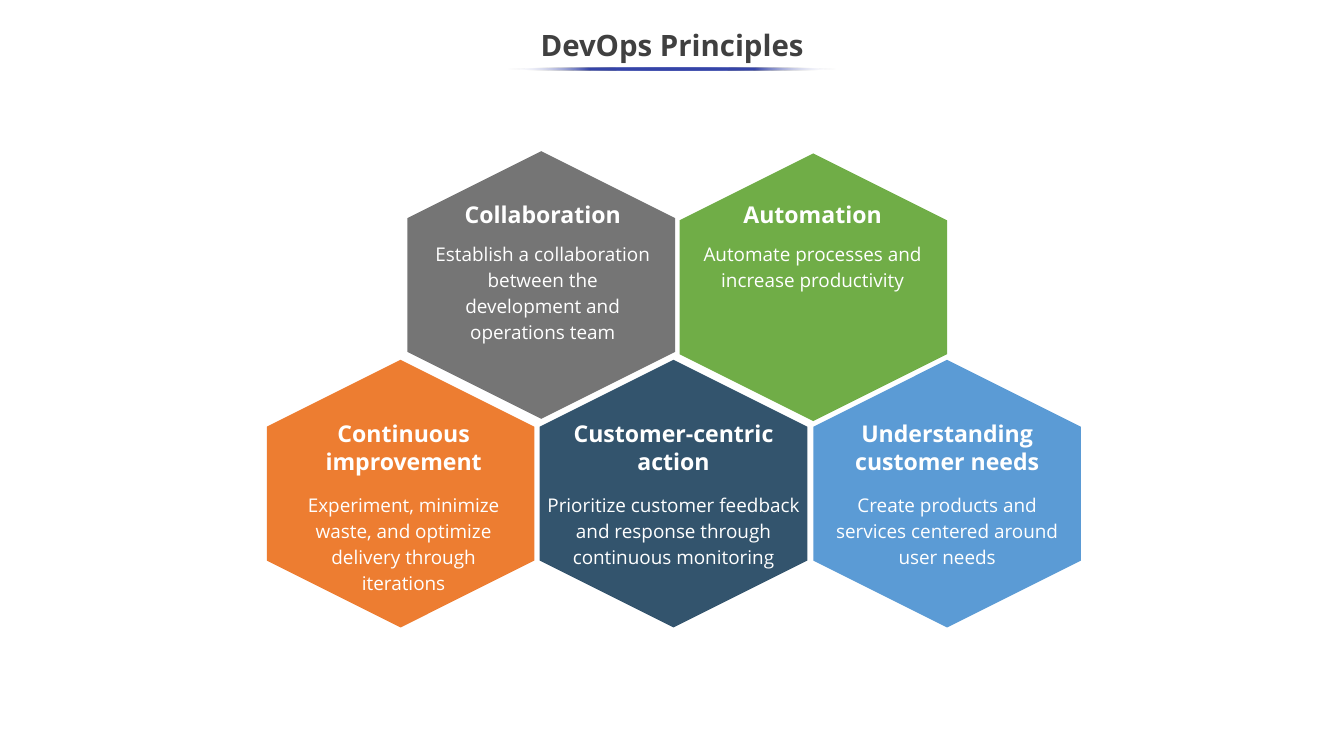
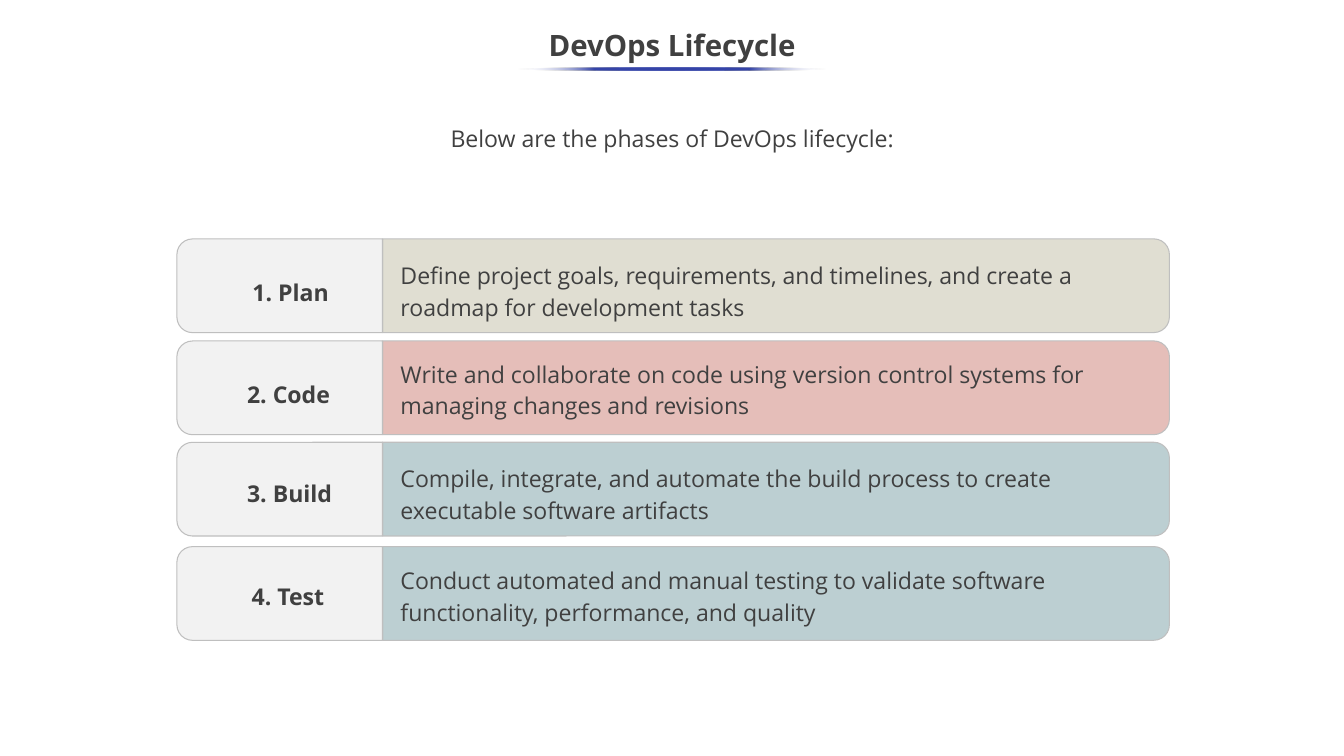
from dataclasses import dataclass

from lxml import etree
from pptx import Presentation
from pptx.dml.color import RGBColor
from pptx.enum.shapes import MSO_SHAPE
from pptx.enum.text import MSO_ANCHOR, MSO_AUTO_SIZE, PP_ALIGN
from pptx.oxml.ns import qn
from pptx.shapes.base import BaseShape
from pptx.slide import Slide
from pptx.util import Emu, Inches, Pt

LEFT, CENTER = PP_ALIGN.LEFT, PP_ALIGN.CENTER
TOP, MIDDLE = MSO_ANCHOR.TOP, MSO_ANCHOR.MIDDLE
ELLIPSE, ROUNDED_END = MSO_SHAPE.OVAL, MSO_SHAPE.ROUND_2_SAME_RECTANGLE
GROW, FIXED = MSO_AUTO_SIZE.SHAPE_TO_FIT_TEXT, MSO_AUTO_SIZE.NONE

# The grid has 100 rows; its columns are as wide as its rows are high.
SLIDE_WIDTH, SLIDE_HEIGHT = Inches(17.78), Inches(10)
CELL = SLIDE_HEIGHT / 100
COLUMNS = SLIDE_WIDTH / CELL


@dataclass(frozen=True)
class Theme:
    font: str = "Open Sans"
    title_size: int = 28
    heading_size: int = 22
    body_size: int = 18
    ink: str = "404040"
    white: str = "FFFFFF"
    accent: str = "3645A9"
    label_fill: str = "F2F2F2"
    border: str = "BFBFBF"
    gray: str = "757575"
    green: str = "70AD47"
    orange: str = "ED7D31"
    navy: str = "33546D"
    blue: str = "5B9BD5"
    sand: str = "E0DED2"
    rose: str = "E5BEB9"
    mist: str = "BCCFD2"


THEME = Theme()


@dataclass(frozen=True)
class Area:
    """A rectangle in grid cells."""
    left: float
    top: float
    width: float
    height: float


@dataclass(frozen=True)
class TextStyle:
    size: int
    color: str
    bold: bool = False
    align: PP_ALIGN = CENTER
    anchor: MSO_ANCHOR = TOP
    spacing: float = 1.0
    wrap: bool = True
    sizing: MSO_AUTO_SIZE = GROW


TITLE = TextStyle(THEME.title_size, THEME.ink, bold=True, anchor=MIDDLE,
                  spacing=0.9, sizing=FIXED)
INTRO = TextStyle(THEME.heading_size, THEME.ink, sizing=FIXED)
HEXAGON_HEADING = TextStyle(THEME.heading_size, THEME.white, bold=True,
                            anchor=MIDDLE, wrap=False)
HEXAGON_BODY = TextStyle(THEME.body_size, THEME.white, spacing=1.15)
PHASE_LABEL = TextStyle(THEME.heading_size, THEME.ink, bold=True, align=LEFT)
PHASE_BODY = TextStyle(THEME.heading_size, THEME.ink, align=LEFT,
                       anchor=MIDDLE, spacing=1.14, sizing=FIXED)


@dataclass(frozen=True)
class HexagonRow:
    heading_top: float
    heading_height: float
    body_top: float


UPPER = HexagonRow(26, 4.7, 31.1)
LOWER = HexagonRow(55, 8.4, 64.3)
HEXAGON_SIZE = 35.4


@dataclass(frozen=True)
class Principle:
    heading: tuple[str, ...]
    body: str
    body_lines: int
    fill: str
    left: float
    top: float
    text_center: float
    row: HexagonRow
    heading_width: float
    body_width: float = 32.4


PRINCIPLES = (
    Principle(("Continuous", "improvement"),
              "Experiment, minimize waste, and optimize delivery through iterations",
              4, THEME.orange, 35.3, 47.6, 53.4, LOWER, 22.9),
    Principle(("Collaboration",),
              "Establish a collaboration between the development and operations team",
              4, THEME.gray, 53.9, 20, 71.8, UPPER, 22.9),
    Principle(("Automation",),
              "Automate processes and increase productivity",
              2, THEME.green, 89.9, 20.3, 107.5, UPPER, 20.5),
    Principle(("Customer-centric", "action"),
              "Prioritize customer feedback and response through continuous monitoring",
              3, THEME.navy, 71.4, 47.6, 89.1, LOWER, 28.7, 37.5),
    Principle(("Understanding", "customer needs"),
              "Create products and services centered around user needs",
              3, THEME.blue, 107.6, 47.6, 125.3, LOWER, 26.6),
)


@dataclass(frozen=True)
class Phase:
    label: str
    body: str
    fill: str
    middle: float
    body_top: float
    label_left: float
    label_top: float


PHASES = (
    Phase("1. Plan",
          "Define project goals, requirements, and timelines, and create a "
          "roadmap for development tasks",
          THEME.sand, 37.8, 33.1, 32.4, 36.4),
    Phase("2. Code",
          "Write and collaborate on code using version control systems for "
          "managing changes and revisions",
          THEME.rose, 51.3, 46.1, 31.7, 49.8),
    Phase("3. Build",
          "Compile, integrate, and automate the build process to create "
          "executable software artifacts",
          THEME.mist, 64.7, 59.9, 31.7, 62.9),
    Phase("4. Test",
          "Conduct automated and manual testing to validate software "
          "functionality, performance, and quality",
          THEME.mist, 78.5, 73.4, 32.3, 76.5),
)
PHASE_LEFT, PHASE_SPLIT, PHASE_RIGHT, PHASE_HEIGHT = 23.4, 50.6, 154.7, 12.4


def cells(count: float) -> Emu:
    return Emu(round(count * CELL))


def bounds(area: Area) -> tuple[Emu, Emu, Emu, Emu]:
    return (cells(area.left), cells(area.top),
            cells(area.width), cells(area.height))


def add_text(page: Slide, area: Area, lines: tuple[str, ...],
             style: TextStyle) -> None:
    box = page.shapes.add_textbox(*bounds(area))
    frame = box.text_frame
    frame.word_wrap = style.wrap
    frame.auto_size = style.sizing
    frame.vertical_anchor = style.anchor
    for index, line in enumerate(lines):
        para = frame.add_paragraph() if index else frame.paragraphs[0]
        para.alignment = style.align
        para.line_spacing = style.spacing
        span = para.add_run()
        span.text = line
        span.font.name = THEME.font
        span.font.size = Pt(style.size)
        span.font.bold = style.bold
        span.font.color.rgb = RGBColor.from_string(style.color)


def paint(shape: BaseShape, fill: str, border: str | None = None) -> None:
    shape.shadow.inherit = False
    shape.fill.solid()
    shape.fill.fore_color.rgb = RGBColor.from_string(fill)
    if border:
        shape.line.color.rgb = RGBColor.from_string(border)
        shape.line.width = Pt(1)
    else:
        shape.line.fill.background()


def fade_ends(shape: BaseShape) -> None:
    """Fill with the accent colour, turning transparent at both ends."""
    shape.fill.gradient()
    shape.fill.gradient_angle = 180
    stops = shape.fill._fill._gradFill.find(qn("a:gsLst"))
    for stop in list(stops):
        stops.remove(stop)
    for percent in range(0, 101, 25):
        at_end = percent in (0, 100)
        stop = etree.SubElement(stops, qn("a:gs"), pos=str(percent * 1000))
        color = etree.SubElement(stop, qn("a:srgbClr"),
                                 val=THEME.white if at_end else THEME.accent)
        if at_end:
            etree.SubElement(color, qn("a:alpha"), val="0")


def add_title(page: Slide, title: str, underline_width: float) -> None:
    add_text(page, Area(0, 2.5, COLUMNS, 7.5), (title,), TITLE)
    left = (COLUMNS - underline_width) / 2
    underline = page.shapes.add_shape(
        ELLIPSE, *bounds(Area(left, 8.9, underline_width, 0.4)))
    paint(underline, THEME.accent)
    fade_ends(underline)


def add_hexagon(page: Slide, left: float, top: float, fill: str) -> None:
    corners = ((0.5, 0), (1, 0.25), (1, 0.75), (0.5, 1), (0, 0.75), (0, 0.25))
    points = [(cells(left + x * HEXAGON_SIZE), cells(top + y * HEXAGON_SIZE))
              for x, y in corners]
    builder = page.shapes.build_freeform(*points[0])
    builder.add_line_segments(points[1:], close=True)
    paint(builder.convert_to_shape(), fill)


def add_principle(page: Slide, item: Principle) -> None:
    add_hexagon(page, item.left, item.top, item.fill)
    heading = Area(item.text_center - item.heading_width / 2,
                   item.row.heading_top, item.heading_width,
                   item.row.heading_height)
    add_text(page, heading, item.heading, HEXAGON_HEADING)
    body = Area(item.text_center - item.body_width / 2, item.row.body_top,
                item.body_width, 0.9 + 3.45 * item.body_lines)
    add_text(page, body, (item.body,), HEXAGON_BODY)


def add_rounded_end(page: Slide, left: float, right: float, middle: float,
                    rotation: int, fill: str) -> None:
    """Draw a bar whose rounded end faces right (90) or left (270)."""
    length = right - left
    upright = Area((left + right - PHASE_HEIGHT) / 2, middle - length / 2,
                   PHASE_HEIGHT, length)
    bar = page.shapes.add_shape(ROUNDED_END, *bounds(upright))
    bar.rotation = rotation
    paint(bar, fill, THEME.border)


def add_phase(page: Slide, phase: Phase) -> None:
    add_rounded_end(page, PHASE_SPLIT, PHASE_RIGHT, phase.middle, 90, phase.fill)
    add_rounded_end(page, PHASE_LEFT, PHASE_SPLIT, phase.middle, 270,
                    THEME.label_fill)
    add_text(page, Area(52, phase.body_top, 99.3, 10.4), (phase.body,),
             PHASE_BODY)
    add_text(page, Area(phase.label_left, phase.label_top, 13.8, 4.7),
             (phase.label,), PHASE_LABEL)


def main() -> None:
    deck = Presentation()
    deck.slide_width, deck.slide_height = SLIDE_WIDTH, SLIDE_HEIGHT
    blank = deck.slide_layouts[6]

    principles_page = deck.slides.add_slide(blank)
    add_title(principles_page, "DevOps Principles", 43.5)
    for item in PRINCIPLES:
        add_principle(principles_page, item)

    lifecycle_page = deck.slides.add_slide(blank)
    add_title(lifecycle_page, "DevOps Lifecycle", 40.8)
    add_text(lifecycle_page, Area(21.6, 15.9, 134.7, 10),
             ("Below are the phases of DevOps lifecycle:",), INTRO)
    for phase in PHASES:
        add_phase(lifecycle_page, phase)

    deck.save("out.pptx")


if __name__ == "__main__":
    main()
